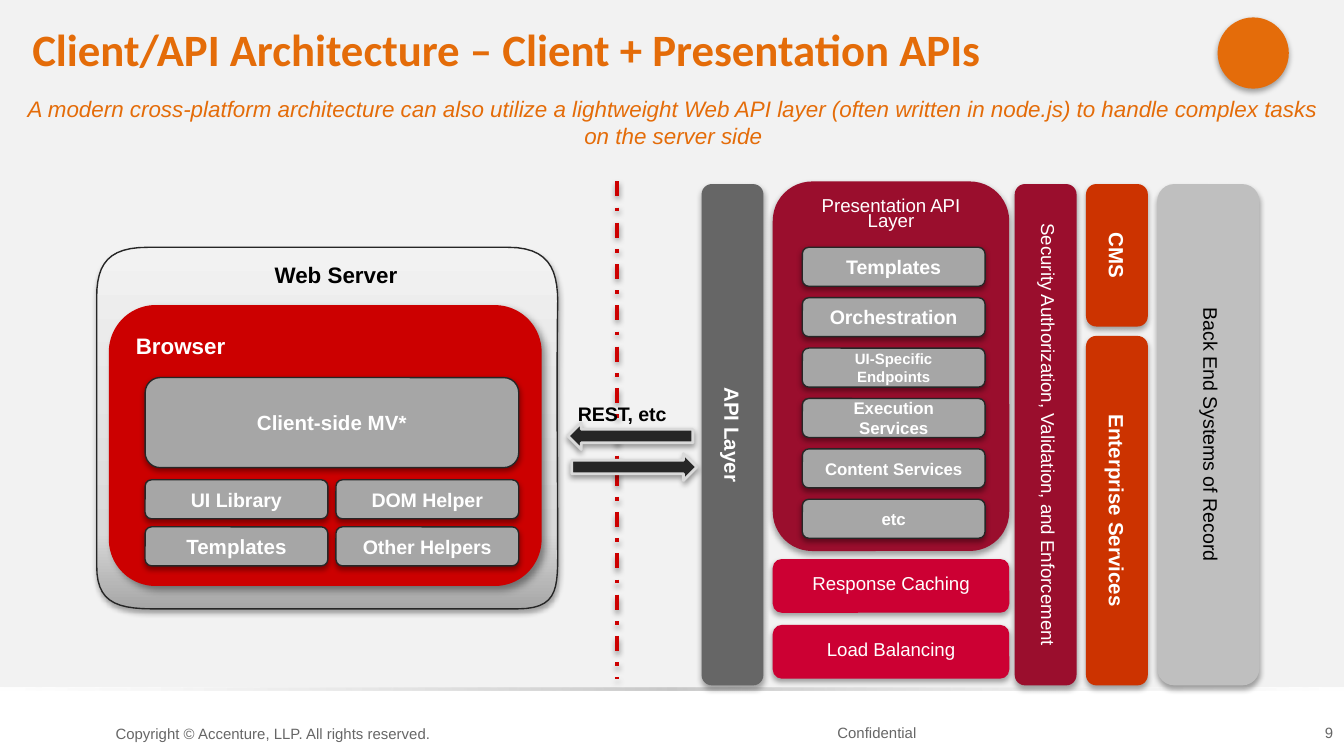
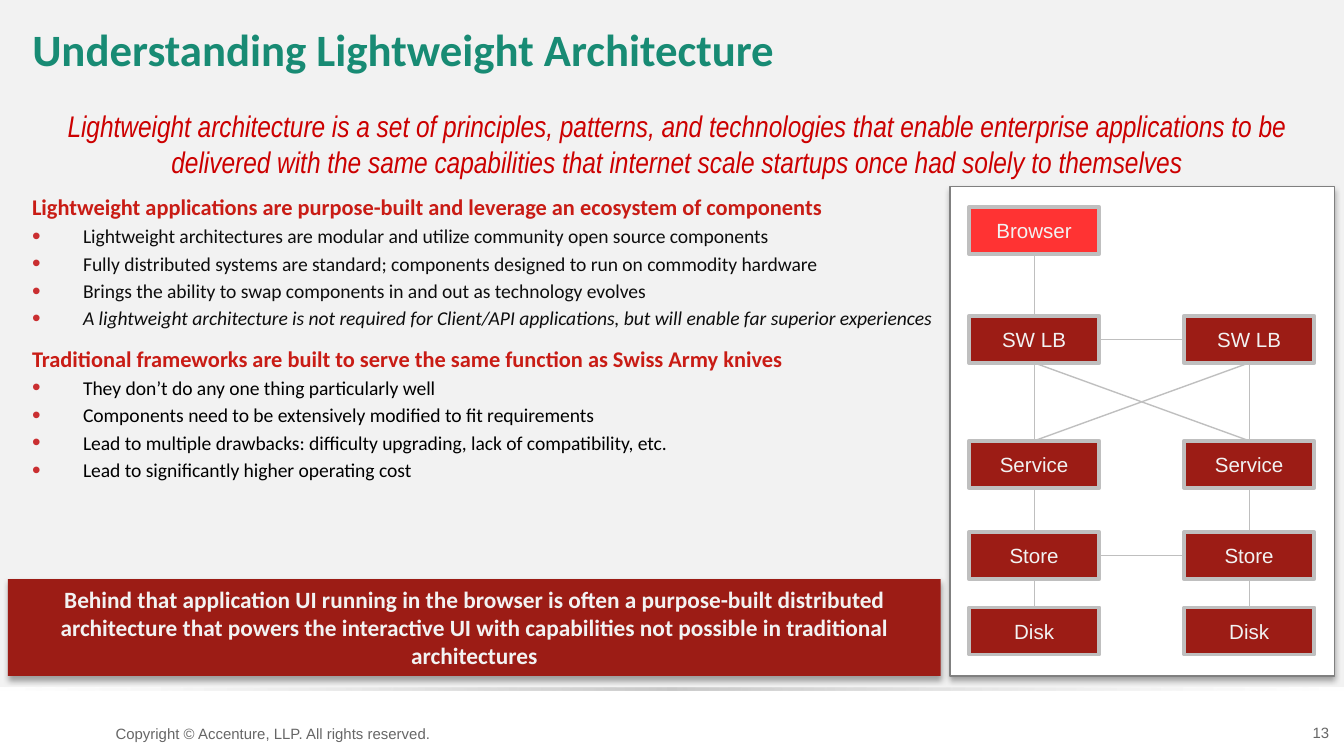
from lxml import etree
from pptx import Presentation
from pptx import util as u
from pptx.dml.color import RGBColor
from pptx.enum import dml, shapes, text
from pptx.oxml.ns import qn

I = u.Inches
BOX = shapes.MSO_SHAPE.RECTANGLE
PILL = shapes.MSO_SHAPE.ROUNDED_RECTANGLE
ALIGN = {"l": text.PP_ALIGN.LEFT, "c": text.PP_ALIGN.CENTER, "r": text.PP_ALIGN.RIGHT}
ANCHOR = {"t": text.MSO_ANCHOR.TOP, "m": text.MSO_ANCHOR.MIDDLE, "b": text.MSO_ANCHOR.BOTTOM}


class Theme:
    sans, head, thin = "Arial", "Calibri", "Arial Narrow"
    white, black, ink, pale = "FFFFFF", "000000", "0D0D0D", "F2F2F2"
    silver, mid, dark, edge, rim = "BFBFBF", "A6A6A6", "666666", "262626", "808080"
    light, orange, disc, teal = "D9D9D9", "E46C09", "E46C0A", "188B74"
    red, wine, rose, rust = "CC0000", "9A0E2D", "CC0033", "CC3300"
    brick, hot, topic, dot = "9C1C15", "FF3333", "C91C15", "CA2F31"
    title, lead, banner, sub, label, item, small, foot = 24, 16, 12.5, 12, 11, 10.5, 10, 8
    soft, hard, cast = (35, 3.1, 1.8, 90), (38, 3.1, 1.6, 90), (40, 4, 3, 45)


T = Theme
PANEL = ((.72, 2.21), [
    [(.72, 1.96), (.81, 1.84), (1.1, 1.84)], [(3.78, 1.84)],
    [(4.07, 1.84), (4.15, 1.99), (4.15, 2.24)],
    [(4.14, 2.86), (4.15, 3.53), (4.15, 4.15)],
    [(4.15, 4.4), (4.13, 4.53), (3.85, 4.53)], [(1.13, 4.53)],
    [(.84, 4.53), (.72, 4.46), (.72, 4.21)]])
HELPERS = [[("UI Library", T.item), ("DOM Helper", T.item)],
           [("Templates", T.label), ("Other Helpers", T.item)]]
LAYER = [("Templates", T.item), ("Orchestration", T.item), ("UI-Specific Endpoints", 8),
         ("Execution Services", 9), ("Content Services", 9), ("etc", 9)]
BARS = [
    ("API Layer", (5.22, 1.37, .46, 3.73), T.dark, dict(size=T.label, bold=True)),
    ("Security Authorization, Validation, and Enforcement", (7.55, 1.37, .46, 3.73), T.wine,
     dict(size=T.small, lead=.7)),
    ("CMS", (8.08, 1.37, .46, 1.06), T.rust, dict(size=T.label, bold=True)),
    ("Enterprise Services", (8.08, 2.5, .46, 2.6), T.rust, dict(size=T.label, bold=True)),
    ("Back End Systems of Record", (8.61, 1.37, .76, 3.73), T.silver,
     dict(size=T.item, lead=.7, color=T.black)),
]
EXTRAS = ["Response Caching", "Load Balancing"]
POINTS = [
    ("Lightweight applications are purpose-built and leverage an ecosystem of components", T.ink, [
        "Lightweight architectures are modular and utilize community open source components",
        "Fully distributed systems are standard; components designed to run on commodity hardware",
        "Brings the ability to swap components in and out as technology evolves",
        "A lightweight architecture is not required for Client/API applications, "
        "but will enable far superior experiences"]),
    ("Traditional frameworks are built to serve the same function as Swiss Army knives", T.black, [
        "They don’t do any one thing particularly well",
        "Components need to be extensively modified to fit requirements",
        "Lead to multiple drawbacks: difficulty upgrading, lack of compatibility, etc.",
        "Lead to significantly higher operating cost"]),
]
STRESS = POINTS[0][2][-1]
ROWS = [("Browser", 1.54, 1), ("SW LB", 2.35, 2), ("Service", 3.28, 2),
        ("Store", 3.96, 2), ("Disk", 4.52, 2)]
BOTTOM, TOP, RIGHT, LEFT = 2, 0, 3, 1
LINKS = [((r, c), BOTTOM, (r + 1, c), TOP) for c in (0, 1) for r in range(c, 4)]
LINKS += [((1, 0), BOTTOM, (2, 1), TOP), ((1, 1), BOTTOM, (2, 0), TOP)]
LINKS += [((r, 0), RIGHT, (r, 1), LEFT) for r in (1, 3)]


def rgb(hue):
    return RGBColor.from_string(hue)


def sub(node, tag, **attrs):
    return etree.SubElement(node, qn("a:" + tag), {k: str(v) for k, v in attrs.items()})


def say(shape, words, size=T.item, color=T.white, bold=False, italic=False, font=T.sans,
        align="c", lead=None, before=0, bullet=None):
    frame = shape.text_frame
    para = frame.add_paragraph() if frame.text else frame.paragraphs[0]
    if bullet:
        props = para._p.get_or_add_pPr()
        props.set("marL", str(I(.38)))
        props.set("indent", str(-I(.38)))
        sub(sub(props, "buClr"), "srgbClr", val=bullet)
        sub(props, "buSzPct", val=125000)
        sub(props, "buFont", typeface=T.sans)
        sub(props, "buChar", char="•")
    para.alignment = ALIGN[align]
    if lead:
        para.line_spacing = lead
    if before:
        para.space_before = u.Pt(before)
    run = para.add_run()
    run.text = words
    run.font.size, run.font.name = u.Pt(size), font
    run.font.bold, run.font.italic = bold, italic
    run.font.color.rgb = rgb(color)


def frame(shape, anchor="t", inset=(.1, .05, .1, .05)):
    tf = shape.text_frame
    tf.word_wrap, tf.auto_size = True, text.MSO_AUTO_SIZE.NONE
    tf.vertical_anchor = ANCHOR[anchor]
    tf.margin_left, tf.margin_top, tf.margin_right, tf.margin_bottom = map(I, inset)
    return shape


def shade(shape, look):
    blur, dist = (int(u.Pt(n)) for n in look[1:3])
    cast = sub(shape.element.spPr.find(qn("a:effectLst")), "outerShdw", blurRad=blur,
               dist=dist, dir=look[3] * 60000, algn="ctr", rotWithShape=0)
    sub(sub(cast, "srgbClr", val=T.black), "alpha", val=look[0] * 1000)


def paint(shape, fill=None, line=None, width=.75, shadow=None):
    shape.shadow.inherit = False
    if fill:
        shape.fill.solid()
        shape.fill.fore_color.rgb = rgb(fill)
    else:
        shape.fill.background()
    if line:
        shape.line.color.rgb = rgb(line)
        shape.line.width = u.Pt(width)
    else:
        shape.line.fill.background()
    if shadow:
        shade(shape, shadow)
    return shape


def blend(shape, stops, angle):
    shape.fill.gradient()
    shape.fill.gradient_angle = angle
    row = shape.element.spPr.find(".//" + qn("a:gsLst"))
    row[:] = []
    for pos, hue, alpha in stops:
        tint = sub(sub(row, "gs", pos=pos * 1000), "srgbClr", val=hue)
        if alpha < 100:
            sub(tint, "alpha", val=alpha * 1000)


def block(slide, kind, at, fill=None, anchor="m", inset=(.1, .05, .1, .05), **look):
    shape = slide.shapes.add_shape(kind, *map(I, at))
    return frame(paint(shape, fill, **look), anchor, inset)


def note(slide, at, words, anchor="t", inset=(.1, .05, .1, .05), **form):
    box = frame(slide.shapes.add_textbox(*map(I, at)), anchor, inset)
    say(box, words, **form)


def wire(slide, ends, hue, width):
    line = slide.shapes.add_connector(shapes.MSO_CONNECTOR.STRAIGHT, *map(I, ends))
    line.line.color.rgb, line.line.width = rgb(hue), u.Pt(width)
    sub(line.element.spPr, "effectLst")
    return line


def button(slide, at, words, size):
    say(block(slide, PILL, at, T.mid, line=T.edge, shadow=T.hard), words, size, bold=True)


def strip(slide):
    rule = block(slide, BOX, (0, 5.12, 10, .02))
    blend(rule, [(0, T.white, 20), (50, T.silver, 60), (100, T.white, 20)], 0)


def start(deck, title, hue, high, number, right):
    slide = deck.slides.add_slide(deck.slide_layouts[5])
    strip(slide)
    block(slide, BOX, (0, -.01, 10, 5.12), T.pale, line=T.pale)
    strip(slide)
    foot = dict(inset=(0, .04, 0, 0), size=T.foot, color=T.dark)
    note(slide, (.86, 5.35, 2.66, .18), "Copyright © Accenture, LLP. All rights reserved.",
         align="l", **foot)
    note(slide, (right - .39, 5.22, .39, .3), number, anchor="b", align="r", **foot)
    head = slide.shapes.title
    head.left, head.top, head.width, head.height = map(I, (.14, .11, 9.78, high))
    say(frame(head), title, T.title, hue, bold=True, font=T.head, align="l")
    slide.shapes.element.append(head.element)
    return slide, foot


def panel(slide):
    here, segs = PANEL
    pen = slide.shapes.build_freeform(*map(I, here))
    dots = []
    for seg in segs:
        if len(seg) == 1:
            dots += seg
        else:
            for n in range(1, 13):
                t = n / 12
                mix = ((1 - t) ** 3, 3 * t * (1 - t) ** 2, 3 * t * t * (1 - t), t ** 3)
                dots.append(tuple(sum(m * p[k] for m, p in zip(mix, [here] + seg))
                                  for k in (0, 1)))
        here = seg[-1]
    pen.add_line_segments([tuple(map(I, d)) for d in dots], close=True)
    shape = paint(pen.convert_to_shape(), T.pale, T.edge, shadow=T.soft)
    blend(shape, [(0, T.mid, 100), (21, T.light, 100), (100, T.pale, 100)], 90)
    say(frame(shape, inset=(.23, .1, .1, .05)), "Web Server", T.sub, T.black, bold=True)


def client(deck):
    slide, foot = start(deck, "Client/API Architecture – Client + Presentation APIs",
                        T.orange, .55, "9", 9.92)
    note(slide, (3.7, 5.22, 5.65, .3), "Confidential", anchor="b", **foot)
    panel(slide)
    web = block(slide, PILL, (.81, 2.27, 3.22, 2.09), T.red, "t", (.1, .1, .1, .05),
                shadow=T.cast)
    say(web, "Browser", T.sub, bold=True, align="l")
    split = wire(slide, (4.59, 1.35, 4.59, 5.05), T.red, 2)
    split.line.dash_style = dml.MSO_LINE.DASH_DOT
    shade(split, T.hard)
    for x, y, turn in ((4.62, 3.01, 270), (4.59, 2.78, 90)):
        arrow = block(slide, shapes.MSO_SHAPE.DOWN_ARROW, (x, y, .2, .93), T.edge,
                      line=T.light, width=1.5, shadow=T.hard)
        arrow.rotation = turn
    say(block(slide, PILL, (4.18, 2.99, .9, .18)), "REST, etc", color=T.black, bold=True)
    button(slide, (1.08, 2.81, 2.78, .67), "Client-side MV*", T.label)
    for r, row in enumerate(HELPERS):
        for c, (words, size) in enumerate(row):
            button(slide, (1.08 + 1.42 * c, 3.57 + .35 * r, 1.36, .29), words, size)
    for words, (x, y, w, h), hue, form in BARS:
        bar = block(slide, PILL, (x + (w - h) / 2, y + (h - w) / 2, h, w), hue, shadow=T.soft)
        bar.rotation = 90
        say(bar, words, **form)
    note(slide, (0, .66, 10.02, .5),
         "A modern cross-platform architecture can also utilize a lightweight Web API layer "
         "(often written in node.js) to handle complex tasks on the server side",
         size=T.sub, color=T.orange, italic=True)
    layer = block(slide, PILL, (5.75, 1.35, 1.76, 2.75), T.wine, "t", shadow=T.soft)
    say(layer, "Presentation API Layer", T.small, lead=.7)
    for n, (words, size) in enumerate(LAYER):
        button(slide, (5.97, 1.84 + .375 * n, 1.36, .29), words, size)
    for n, words in enumerate(EXTRAS):
        extra = block(slide, PILL, (5.75, 4.16 + .49 * n, 1.76, .4), T.rose, shadow=T.soft)
        say(extra, words, T.small, lead=.7)
    block(slide, shapes.MSO_SHAPE.OVAL, (9.06, .13, .53, .53), T.disc, shadow=T.soft)


def light(deck):
    slide, _ = start(deck, "Understanding Lightweight Architecture", T.teal, .84, "13", 9.89)
    body = frame(slide.shapes.add_textbox(*map(I, (.14, 1.39, 6.96, 2.84))))
    for n, (topic, hue, items) in enumerate(POINTS):
        say(body, topic, T.sub, T.topic, bold=True, font=T.head, align="l", before=8 * n)
        for words in items:
            say(body, words, T.item, hue, italic=words == STRESS, font=T.head, align="l",
                before=2.1, bullet=T.dot)
    note(slide, (.14, .75, 9.8, .64),
         "Lightweight architecture is a set of principles, patterns, and technologies that "
         "enable enterprise applications to be delivered with the same capabilities that "
         "internet scale startups once had solely to themselves",
         size=T.lead, color=T.red, italic=True, font=T.thin)
    block(slide, BOX, (7.07, 1.39, 2.86, 3.64), T.white, line=T.rim, shadow=T.soft)
    nodes = {}
    for r, (words, y, count) in enumerate(ROWS):
        for c in range(count):
            node = block(slide, BOX, (7.21 + 1.6 * c, y, .97, .35),
                         T.brick if r else T.hot, line=T.silver, width=2)
            say(node, words, T.label, T.pale)
            nodes[r, c] = node
    for one, out, two, into in LINKS:
        line = wire(slide, (0, 0, 1, 1), T.silver, .75)
        line.begin_connect(nodes[one], out)
        line.end_connect(nodes[two], into)
    banner = block(slide, BOX, (.06, 4.31, 6.94, .72), T.brick, shadow=T.soft)
    say(banner, "Behind that application UI running in the browser is often a purpose-built "
        "distributed architecture that powers the interactive UI with capabilities not "
        "possible in traditional architectures", T.banner, T.pale, bold=True, font=T.head)


def main():
    deck = Presentation()
    deck.slide_width, deck.slide_height = I(10), I(10 * 9 / 16)
    client(deck)
    light(deck)
    deck.save("out.pptx")


if __name__ == "__main__":
    main()
